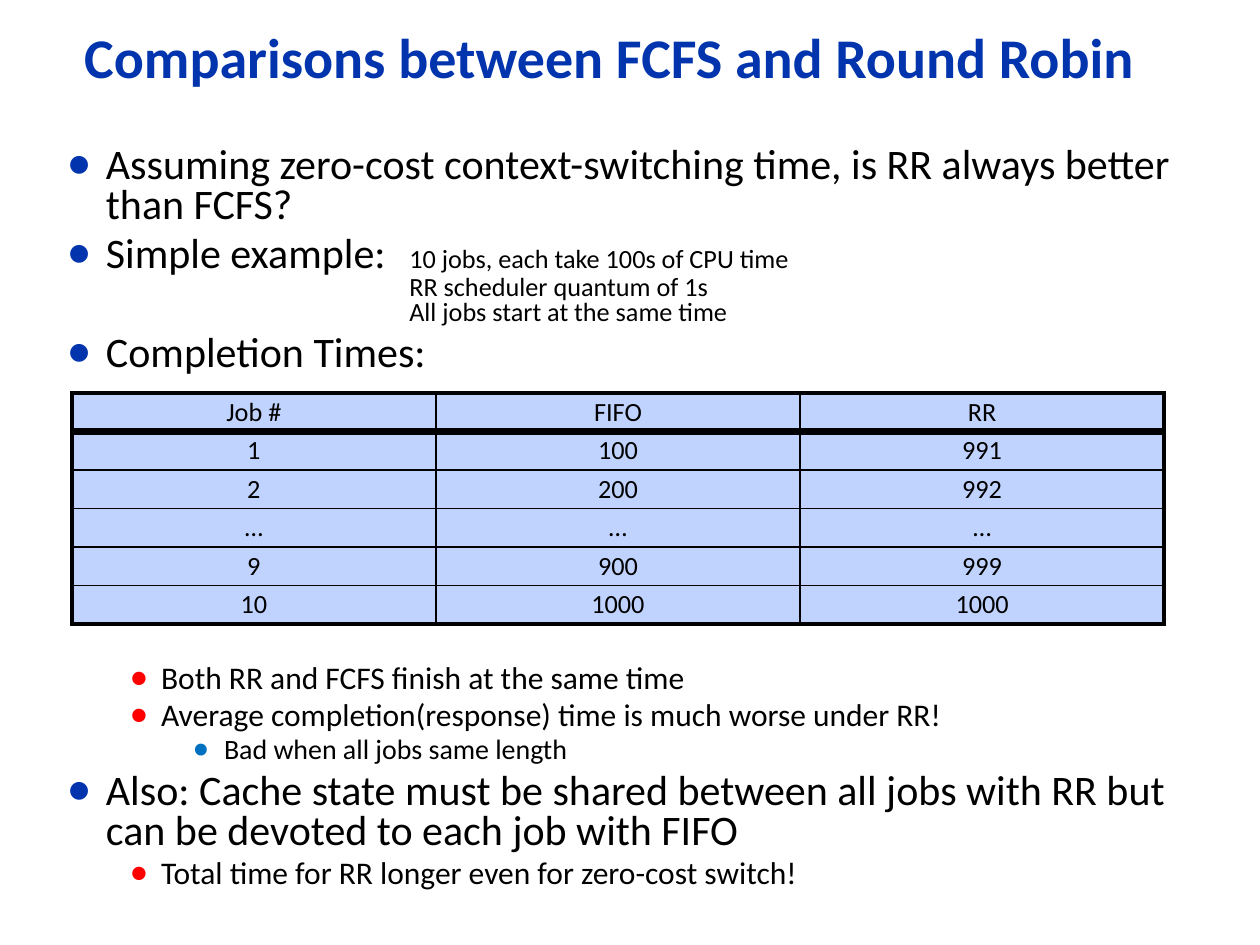
from lxml.etree import SubElement
from pptx import Presentation
from pptx.dml.color import RGBColor
from pptx.enum.text import MSO_ANCHOR, PP_ALIGN
from pptx.oxml.ns import qn
from pptx.util import Pt

FONT = "Calibri"
BLACK = RGBColor(0x00, 0x00, 0x00)
NAVY = RGBColor(0x02, 0x34, 0xAD)
RED = RGBColor(0xFF, 0x00, 0x00)
SKY = RGBColor(0x00, 0x70, 0xC0)
PALE_BLUE = RGBColor(0xC0, 0xD2, 0xFE)

LEVELS = [(24, 22.5, 22.5, NAVY), (18, 54, 18, RED), (16, 90, 18, SKY)]
NOTE_SIZE = 15
NOTE_TAB = 195.84
TABLE_GAP = 165.5
THIN, FRAME, HEADER_RULE = 1, 2.25, 4.5

POINTS = [
    (0, "Assuming zero-cost context-switching time, is RR always better than FCFS?"),
    (0, "Simple example:"),
    (0, "Completion Times:"),
    (1, "Both RR and FCFS finish at the same time"),
    (1, "Average completion(response) time is much worse under RR!"),
    (2, "Bad when all jobs same length"),
    (0, "Also: Cache state must be shared between all jobs with RR "
        "but can be devoted to each job with FIFO"),
    (1, "Total time for RR longer even for zero-cost switch!"),
]
EXAMPLE_INDEX, AFTER_TABLE_INDEX = 1, 3
EXAMPLE_NOTES = [
    "10 jobs, each take 100s of CPU time",
    "RR scheduler quantum of 1s",
    "All jobs start at the same time",
]
COMPLETION_TIMES = [
    ("Job #", "FIFO", "RR"),
    ("1", "100", "991"),
    ("2", "200", "992"),
    ("…", "…", "…"),
    ("9", "900", "999"),
    ("10", "1000", "1000"),
]


def style_runs(paragraph, size, color=BLACK, bold=False):
    for run in paragraph.runs:
        run.font.name = FONT
        run.font.size = Pt(size)
        run.font.color.rgb = color
        run.font.bold = bold


def add_text_frame(slide, left, top, width, height):
    frame = slide.shapes.add_textbox(Pt(left), Pt(top), Pt(width), Pt(height)).text_frame
    frame.word_wrap = True
    return frame


def add_title(slide, wording):
    title = add_text_frame(slide, 41.04, 13.68, 704.16, 41.76)
    title.vertical_anchor = MSO_ANCHOR.MIDDLE
    title.text = wording
    title.paragraphs[0].line_spacing = 0.9
    style_runs(title.paragraphs[0], 32, NAVY, True)


def set_bullet(paragraph, margin, hanging, color):
    properties = paragraph._p.get_or_add_pPr()
    properties.set("marL", str(Pt(margin)))
    properties.set("indent", str(-Pt(hanging)))
    bullet_color = SubElement(properties, qn("a:buClr"))
    SubElement(bullet_color, qn("a:srgbClr"), val=str(color))
    SubElement(properties, qn("a:buSzPct"), val="120000")
    SubElement(properties, qn("a:buFont"), typeface=FONT)
    SubElement(properties, qn("a:buChar"), char="•")
    tabs = SubElement(properties, qn("a:tabLst"))
    SubElement(tabs, qn("a:tab"), pos=str(Pt(NOTE_TAB)), algn="l")


def add_tabbed_notes(paragraph, notes):
    for index, note in enumerate(notes):
        if index:
            paragraph.add_line_break()
        run = paragraph.add_run()
        run.text = "\t" + note
        run.font.name = FONT
        run.font.size = Pt(NOTE_SIZE)
        run.font.color.rgb = BLACK
    for line_break in paragraph._p.findall(qn("a:br")):
        SubElement(line_break, qn("a:rPr"), sz=str(NOTE_SIZE * 100))


def add_points(slide):
    body = add_text_frame(slide, 30.96, 80.64, 670.32, 444.24)
    for index, (level, wording) in enumerate(POINTS):
        size, margin, hanging, color = LEVELS[level]
        point = body.add_paragraph() if index else body.paragraphs[0]
        point.text = wording
        point.level = level
        point.line_spacing = 0.8
        point.space_before = Pt(TABLE_GAP if index == AFTER_TABLE_INDEX else size * 0.2)
        set_bullet(point, margin, hanging, color)
        style_runs(point, size)
        if index == EXAMPLE_INDEX:
            add_tabbed_notes(point, EXAMPLE_NOTES)


def set_borders(cell, **widths):
    properties = cell._tc.get_or_add_tcPr()
    for side, width in widths.items():
        line = SubElement(properties, qn(f"a:ln{side}"), w=str(Pt(width)))
        fill = SubElement(line, qn("a:solidFill"))
        SubElement(fill, qn("a:srgbClr"), val=str(BLACK))


def fill_cell(cell, wording):
    cell.fill.solid()
    cell.fill.fore_color.rgb = PALE_BLUE
    cell.vertical_anchor = MSO_ANCHOR.MIDDLE
    cell.margin_left = cell.margin_right = Pt(15)
    cell.margin_top = cell.margin_bottom = Pt(2.88)
    cell.text_frame.text = wording
    paragraph = cell.text_frame.paragraphs[0]
    paragraph.alignment = PP_ALIGN.CENTER
    paragraph.line_spacing = 0.9
    style_runs(paragraph, 15)


def add_times_table(slide):
    last_row, last_column = len(COMPLETION_TIMES) - 1, len(COMPLETION_TIMES[0]) - 1
    times = slide.shapes.add_table(last_row + 1, last_column + 1, Pt(41.04), Pt(224.64),
                                   Pt(624.24), Pt(131.4)).table
    for row, wordings in enumerate(COMPLETION_TIMES):
        for column, wording in enumerate(wordings):
            cell = times.cell(row, column)
            set_borders(
                cell,
                L=THIN if column else FRAME,
                R=FRAME if column == last_column else THIN,
                T={0: FRAME, 1: HEADER_RULE}.get(row, THIN),
                B={0: HEADER_RULE, last_row: FRAME}.get(row, THIN),
            )
            fill_cell(cell, wording)


def main():
    """Build the slide that compares FCFS with Round Robin."""
    presentation = Presentation()
    presentation.slide_width, presentation.slide_height = Pt(720), Pt(540)
    slide = presentation.slides.add_slide(presentation.slide_layouts[6])
    add_title(slide, "Comparisons between FCFS and Round Robin")
    add_times_table(slide)
    add_points(slide)
    presentation.save("out.pptx")


if __name__ == "__main__":
    main()
